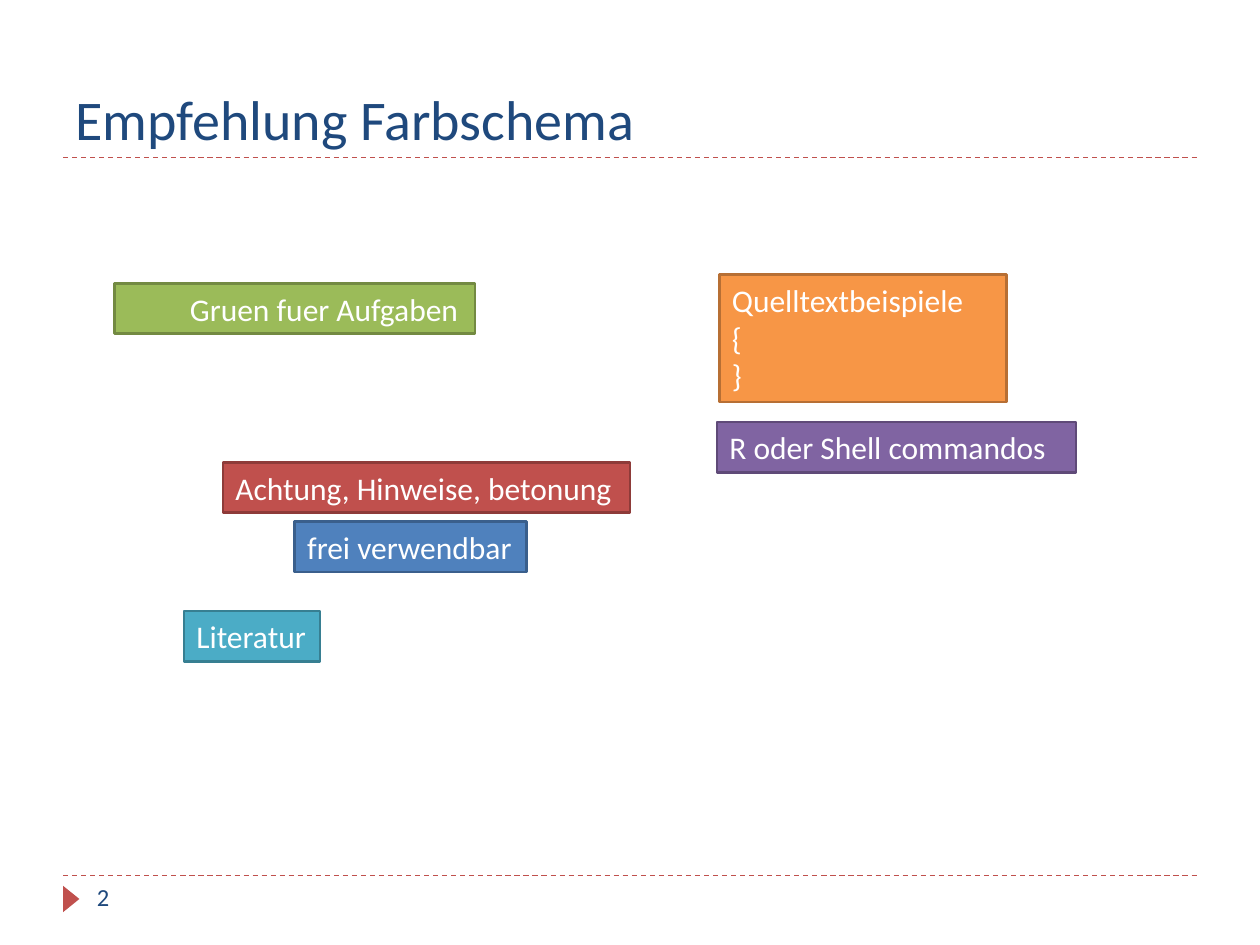
from pptx import Presentation
from pptx.dml.color import RGBColor
from pptx.enum.dml import MSO_LINE
from pptx.enum.shapes import MSO_CONNECTOR, MSO_SHAPE
from pptx.enum.text import MSO_ANCHOR, MSO_AUTO_SIZE, PP_ALIGN
from pptx.oxml.ns import qn
from pptx.util import Inches, Pt
from lxml.etree import SubElement


def color(value):
    return RGBColor.from_string(value)


class Deck:
    font = "Calibri"
    navy = "1F497D"
    red = "C0504D"
    white = "FFFFFF"

    def __init__(self, width, height):
        self.presentation = Presentation()
        self.presentation.slide_width = Inches(width)
        self.presentation.slide_height = Inches(height)
        self.slide = self.presentation.slides.add_slide(self.presentation.slide_layouts[6])

    def fill_text(self, frame, lines, size, ink, anchor, wrap=True, indent=0):
        frame.word_wrap = wrap
        frame.vertical_anchor = anchor
        for number, line in enumerate(lines):
            paragraph = frame.add_paragraph() if number else frame.paragraphs[0]
            paragraph.alignment = PP_ALIGN.LEFT
            if indent:
                properties = paragraph._p.get_or_add_pPr()
                properties.set("marL", str(Inches(indent)))
                properties.set("indent", "0")
            run = paragraph.add_run()
            run.text = line
            run.font.name = self.font
            run.font.size = Pt(size)
            run.font.color.rgb = color(ink)

    def text(self, box, line, size, anchor=MSO_ANCHOR.TOP):
        label = self.slide.shapes.add_textbox(*map(Inches, box))
        self.fill_text(label.text_frame, [line], size, self.navy, anchor)

    def shape(self, kind, box, fill, border=None):
        shape = self.slide.shapes.add_shape(kind, *map(Inches, box))
        shape.shadow.inherit = False
        shape.fill.solid()
        shape.fill.fore_color.rgb = color(fill)
        if border:
            shape.line.color.rgb = color(border)
            shape.line.width = Pt(1.5)
        else:
            shape.line.fill.background()
        return shape

    def swatch(self, box, fill, border, lines, wrap=False, indent=0):
        frame = self.shape(MSO_SHAPE.RECTANGLE, box, fill, border).text_frame
        self.fill_text(frame, lines, 18, self.white, MSO_ANCHOR.TOP, wrap, indent)
        frame.auto_size = MSO_AUTO_SIZE.SHAPE_TO_FIT_TEXT

    def rule(self, y):
        rule = self.slide.shapes.add_connector(
            MSO_CONNECTOR.STRAIGHT, Inches(0.5), Inches(y), Inches(9.5), Inches(y))
        rule.line.color.rgb = color(self.red)
        rule.line.width = Pt(0.75)
        rule.line.dash_style = MSO_LINE.DASH
        SubElement(rule._element.spPr, qn("a:effectLst"))

    def marker(self, box):
        self.shape(MSO_SHAPE.ISOSCELES_TRIANGLE, box, self.red).rotation = 90


deck = Deck(10, 7.5)
for y in (6.95, 1.25):
    deck.rule(y)
deck.marker((0.46, 7.07, 0.21, 0.13))
deck.text((0.5, 0.17, 9, 1.08), "Empfehlung Farbschema", 32, MSO_ANCHOR.BOTTOM)
deck.text((0.67, 6.95, 2.17, 0.4), "2", 14)

deck.swatch((0.91, 2.25, 2.86, 0.4), "9BBB59", "738A42", ["Gruen fuer Aufgaben"], indent=0.5)
deck.swatch((5.71, 2.18, 2.28, 1.01), "F79646", "B76F34",
            ["Quelltextbeispiele", "{", "}"], wrap=True)

single_lines = [
    (1.46, 4.85, 1.08, "4BACC6", "377F92", "Literatur"),
    (5.69, 3.35, 2.85, "8064A2", "5F4A78", "R oder Shell commandos"),
    (1.77, 3.67, 3.23, "C0504D", "8E3B39", "Achtung, Hinweise, betonung"),
    (2.34, 4.14, 1.84, "4F81BD", "3A5F8C", "frei verwendbar"),
]
for left, top, width, fill, border, purpose in single_lines:
    deck.swatch((left, top, width, 0.4), fill, border, [purpose])

deck.presentation.save("out.pptx")
